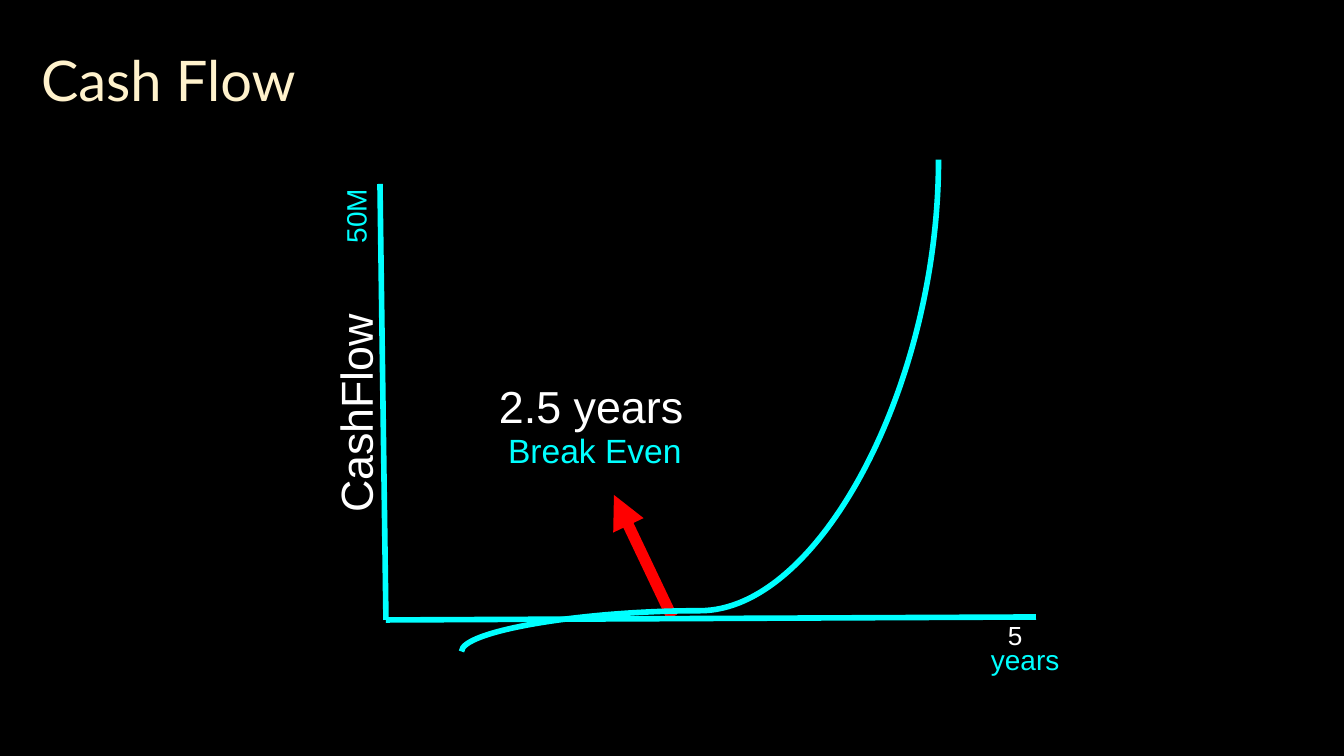
from lxml import etree
from pptx import Presentation
from pptx.dml.color import RGBColor
from pptx.enum.shapes import MSO_CONNECTOR
from pptx.enum.text import MSO_ANCHOR, PP_ALIGN
from pptx.oxml.ns import qn
from pptx.util import Emu, Pt

STRAIGHT, CURVE = MSO_CONNECTOR.STRAIGHT, MSO_CONNECTOR.CURVE
TOP, MIDDLE = MSO_ANCHOR.TOP, MSO_ANCHOR.MIDDLE
LEFT = PP_ALIGN.LEFT

BLACK = RGBColor(0x00, 0x00, 0x00)
WHITE = RGBColor(0xFF, 0xFF, 0xFF)
CYAN = RGBColor(0x00, 0xFF, 0xFF)
RED = RGBColor(0xFF, 0x00, 0x00)
CREAM = RGBColor(0xFF, 0xF2, 0xCC)

# Content: lengths in px, text sizes and line widths in points
SLIDE_SIZE = (1344, 756)
INSET = 13
TITLE = ("Cash Flow", (28, 32, 780, 89))
ARROW = (672, 617, 614, 495)
AXES = [(380, 184, 386, 620), (1036, 617, 386, 620)]
GROWTH_CURVE = (454, 167, 946, 644)
CURVE_BEND = 8300
# text, box, size, colour, rotation, anchor
LABELS = [
    ("Break Even", (495, 417, 246, 118), 18, CYAN, 0, TOP),
    ("2.5 years", (486, 366, 242, 77), 24, WHITE, 0, TOP),
    ("CashFlow", (234, 368, 239, 77), 24, WHITE, 270, TOP),
    ("years", (978, 630, 120, 77), 15, CYAN, 0, TOP),
    ("50M", (317, 171, 94, 77), 15, CYAN, 270, TOP),
    ("5", (995, 602, 36, 67), 14, WHITE, 0, MIDDLE),
]


def px(length):
    return Emu(round(length * 914400 / 134.4))


def add_line(slide, ends, color, width, kind=STRAIGHT):
    line = slide.shapes.add_connector(kind, *map(px, ends))
    line.line.color.rgb = color
    line.line.width = Pt(width)
    etree.SubElement(line._element.spPr, qn("a:effectLst"))
    return line


def set_text(box, text, font_name, size, color, anchor):
    frame = box.text_frame
    frame.word_wrap = True
    frame.vertical_anchor = anchor
    frame.margin_left = frame.margin_right = px(INSET)
    frame.margin_top = frame.margin_bottom = px(INSET)
    para = frame.paragraphs[0]
    para.text = text
    para.alignment = LEFT
    para.font.name = font_name
    para.font.size = Pt(size)
    para.font.color.rgb = color


deck = Presentation()
deck.slide_width, deck.slide_height = map(px, SLIDE_SIZE)
slide = deck.slides.add_slide(deck.slide_layouts[5])
slide.background.fill.solid()
slide.background.fill.fore_color.rgb = BLACK

# Title
title_text, title_box = TITLE
title = slide.shapes.title
title.left, title.top, title.width, title.height = map(px, title_box)
set_text(title, title_text, "Lato", 30, CREAM, TOP)

# Break-even arrow, behind the axes
arrow = add_line(slide, ARROW, RED, 6)
etree.SubElement(arrow.line._get_or_add_ln(), qn("a:tailEnd"),
                 type="triangle", w="med", len="med")

# Axes
for axis in AXES:
    add_line(slide, axis, CYAN, 3)

# Labels
for text, place, size, color, rotation, anchor in LABELS:
    box = slide.shapes.add_textbox(*map(px, place))
    box.rotation = rotation
    set_text(box, text, "Arial", size, color, anchor)

# Growth curve: an S-shaped connector turned upright
curve = add_line(slide, GROWTH_CURVE, CYAN, 3, CURVE)
properties = curve._element.spPr
properties.find(qn("a:xfrm")).set("rot", str(270 * 60000))
adjustments = properties.find(qn("a:prstGeom")).get_or_add_avLst()
etree.SubElement(adjustments, qn("a:gd"), name="adj1", fmla=f"val {CURVE_BEND}")

deck.save("out.pptx")
